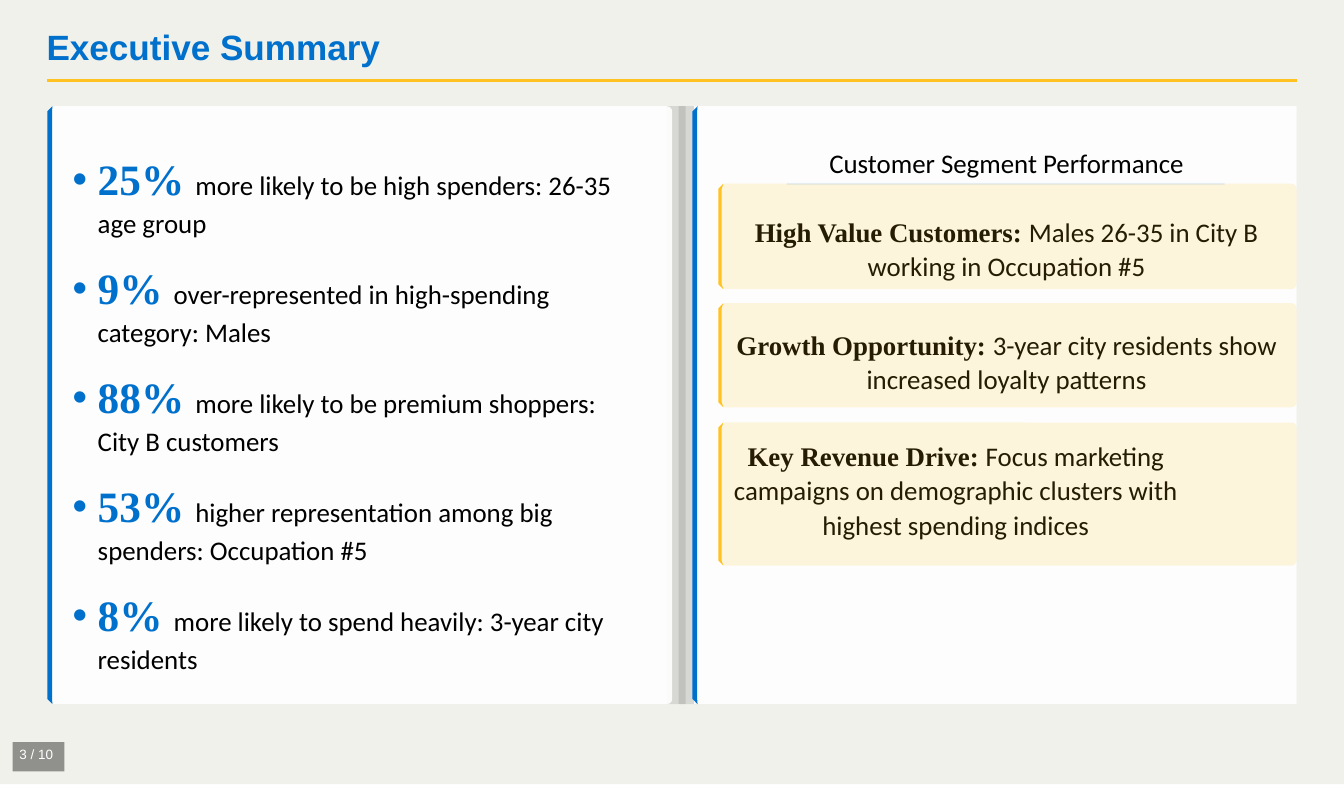
from lxml import etree
from pptx import Presentation
from pptx import util as u
from pptx.dml.color import RGBColor
from pptx.enum import shapes, text
from pptx.oxml.ns import qn

BLUE = RGBColor(0x00, 0x70, 0xCD)
YELLOW = RGBColor(0xFF, 0xC2, 0x20)
PAPER = RGBColor(0xF0, 0xF1, 0xEB)
WHITE = RGBColor(0xFF, 0xFF, 0xFF)
BLACK = RGBColor(0x00, 0x00, 0x00)

BODY, STRONG, LABEL = "Calibri", "Times New Roman", "Arial"
RECTANGLE = shapes.MSO_SHAPE.RECTANGLE
ROUNDED = shapes.MSO_SHAPE.ROUNDED_RECTANGLE
CORNER = 0.12
PANEL_TOP, PANEL_HEIGHT, RIGHT_EDGE = 2.51, 14.12, 30.63

FINDINGS = [
    ("25%", "more likely to be high spenders: 26-35 age group"),
    ("9%", "over-represented in high-spending category: Males"),
    ("88%", "more likely to be premium shoppers: City B customers"),
    ("53%", "higher representation among big spenders: Occupation #5"),
    ("8%", "more likely to spend heavily: 3-year city residents"),
]
# Each segment: label, message, card height, space before, left and right margins
SEGMENTS = [
    ("High Value Customers:", "Males 26-35 in City B working in Occupation #5", 2.49, 22.6, 0.5, 0.5),
    ("Growth Opportunity:", "3-year city residents show increased loyalty patterns", 2.46, 29.6, 0, 0),
    ("Key Revenue Drive:", "Focus marketing campaigns on demographic clusters with highest spending indices",
     3.38, 28.2, 0, 2.4),
]


def write(paragraph, words, size=18, font=BODY, color=BLACK, bold=False):
    run = paragraph.add_run()
    run.text = words
    run.font.size = u.Pt(size)
    run.font.name = font
    run.font.color.rgb = color
    run.font.bold = bold


class SlideBuilder:
    """Draws the styled elements of the summary on one slide."""

    def __init__(self, slide):
        self.slide = slide

    def paint(self, shape, color, alpha=100):
        shape.shadow.inherit = False
        shape.fill.solid()
        shape.fill.fore_color.rgb = color
        shape.line.fill.background()
        if alpha < 100:
            tone = shape.fill._xPr.find(".//" + qn("a:srgbClr"))
            etree.SubElement(tone, qn("a:alpha"), val=str(alpha * 1000))

    def block(self, left, top, width, height, color, alpha=100, kind=RECTANGLE):
        shape = self.slide.shapes.add_shape(kind, u.Cm(left), u.Cm(top), u.Cm(width), u.Cm(height))
        if kind == ROUNDED:
            shape.adjustments[0] = CORNER / min(width, height)
        self.paint(shape, color, alpha)

    def strip(self, left, top, width, height, color):
        bottom, right = top + height, left + width
        outline = [(left + CORNER, top), (left, top + CORNER), (left, bottom - CORNER),
                   (left + CORNER, bottom), (right, bottom - CORNER), (right, top + CORNER)]
        points = [(u.Cm(x), u.Cm(y)) for x, y in outline]
        builder = self.slide.shapes.build_freeform(*points[0], scale=1.0)
        builder.add_line_segments(points[1:], close=True)
        self.paint(builder.convert_to_shape(), color)

    def card(self, left, top, right, height, fill, alpha, accent, accent_width, kind=ROUNDED):
        inset = 0.04
        self.block(left + inset, top, right - left - inset, height, fill, alpha, kind)
        self.strip(left, top, accent_width, height, accent)

    def rule(self, left, right, y, color, width):
        line = self.slide.shapes.add_connector(
            shapes.MSO_CONNECTOR.STRAIGHT, u.Cm(left), u.Cm(y), u.Cm(right), u.Cm(y))
        line.line.color.rgb = color
        line.line.width = u.Pt(width)
        etree.SubElement(line._element.spPr, qn("a:effectLst"))

    def text_box(self, left, top, width, height):
        frame = self.slide.shapes.add_textbox(
            u.Cm(left), u.Cm(top), u.Cm(width), u.Cm(height)).text_frame
        frame.word_wrap = True
        frame.margin_left = frame.margin_right = frame.margin_bottom = 0
        frame.margin_top = u.Cm(0.04)
        return frame

    def paragraph(self, frame, before=0, spacing=1.0, align=text.PP_ALIGN.LEFT,
                  left=0, right=0, hanging=0, bullet=None):
        first = frame.paragraphs[0]
        paragraph = frame.add_paragraph() if first.runs else first
        paragraph.space_before = u.Pt(before)
        paragraph.line_spacing = spacing
        paragraph.alignment = align
        properties = paragraph._p.get_or_add_pPr()
        properties.set("marL", str(u.Cm(left)))
        properties.set("marR", str(u.Cm(right)))
        properties.set("indent", str(-u.Cm(hanging)))
        if bullet:
            color = etree.SubElement(properties, qn("a:buClr"))
            etree.SubElement(color, qn("a:srgbClr"), val=str(BLUE))
            etree.SubElement(properties, qn("a:buSzPct"), val="74000")
            etree.SubElement(properties, qn("a:buFont"), typeface=BODY)
            etree.SubElement(properties, qn("a:buChar"), char=bullet)
        return paragraph


def main():
    presentation = Presentation()
    presentation.slide_width, presentation.slide_height = u.Cm(31.75), u.Cm(18.54)
    builder = SlideBuilder(presentation.slides.add_slide(presentation.slide_layouts[6]))

    builder.block(0, 0, 31.75, 18.52, PAPER)
    builder.block(18.59, 4.32, 10.34, 0.05, BLUE)
    builder.rule(1.12, RIGHT_EDGE, 1.9, YELLOW, 1.5)
    title = builder.paragraph(builder.text_box(1.07, 0.56, 17.1, 1.2), before=1.2, left=0.03)
    write(title, "Executive Summary", size=23.5, font=LABEL, color=BLUE, bold=True)

    for shade_left in (15.75, 16.03):
        builder.block(shade_left, PANEL_TOP, 0.45, PANEL_HEIGHT, BLACK, 10)
    for left, right, kind in ((1.12, 15.88, ROUNDED), (16.36, RIGHT_EDGE, RECTANGLE)):
        builder.card(left, PANEL_TOP, right, PANEL_HEIGHT, WHITE, 90, BLUE, 0.11, kind)

    segments = builder.text_box(16.87, 3.43, 13.82, 9.47)
    heading = builder.paragraph(segments, before=1, align=text.PP_ALIGN.CENTER)
    write(heading, "Customer Segment Performance")
    for index, (label, message, height, before, left, right) in enumerate(SEGMENTS):
        builder.card(16.97, 4.34 + 2.82 * index, RIGHT_EDGE, height, YELLOW, 15, YELLOW, 0.08)
        segment = builder.paragraph(segments, before=before, spacing=1.07, left=left,
                                    right=right, align=text.PP_ALIGN.CENTER)
        write(segment, label + " ", font=STRONG, bold=True)
        write(segment, message)

    findings = builder.text_box(1.6, 3.45, 13.82, 12.24)
    for index, (share, message) in enumerate(FINDINGS):
        finding = builder.paragraph(findings, before=12.1 if index else 2.4, spacing=1.08,
                                    left=0.71, right=0.75, hanging=0.61, bullet="•")
        write(finding, share + " ", size=29, font=STRONG, color=BLUE, bold=True)
        write(finding, message)

    builder.block(0.3, 17.53, 1.22, 0.69, BLACK, 40)
    page = builder.paragraph(builder.text_box(0.36, 17.59, 1.27, 0.43), left=0.1)
    write(page, "3 / 10", size=9, font=LABEL, color=WHITE)

    presentation.save("out.pptx")


if __name__ == "__main__":
    main()
